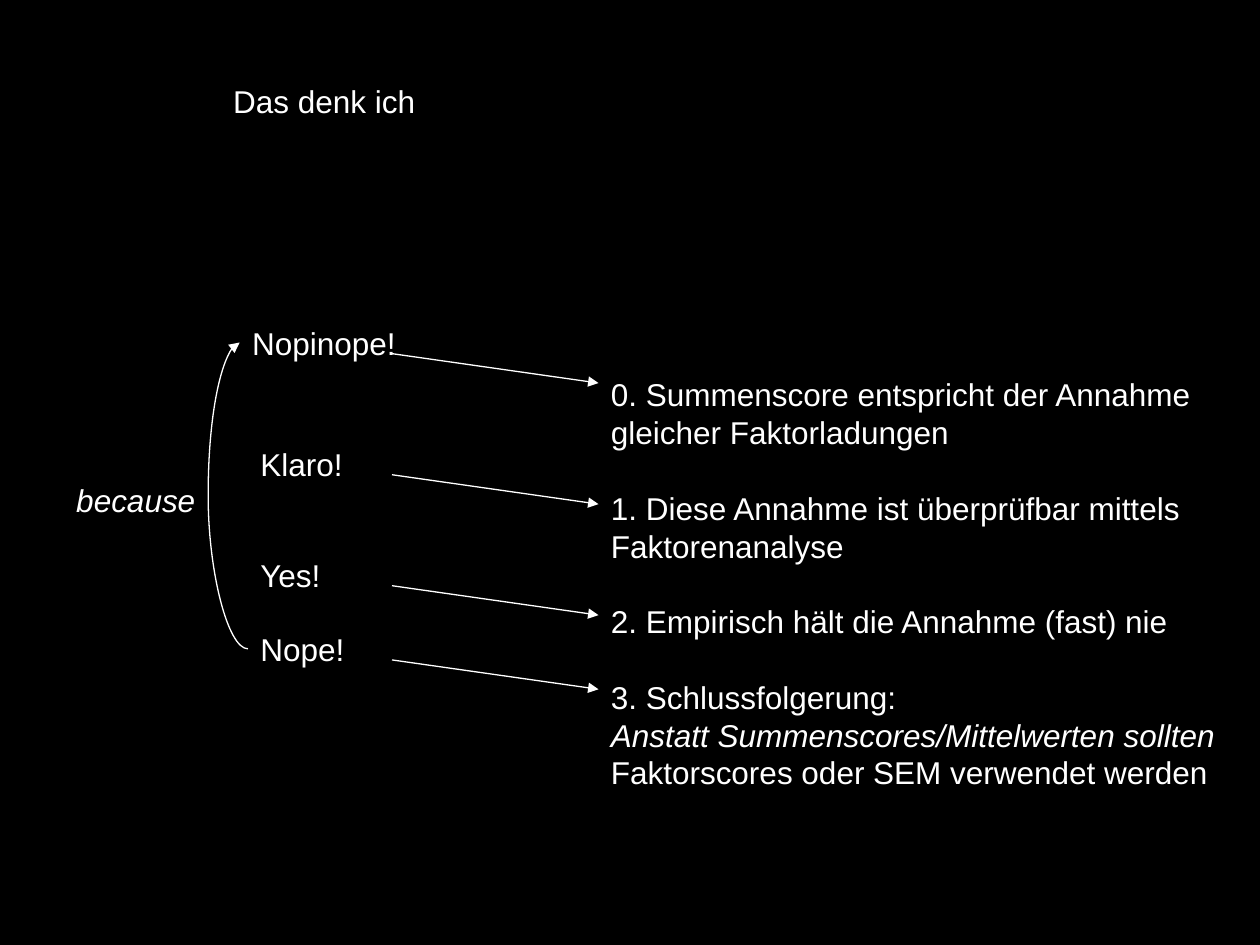
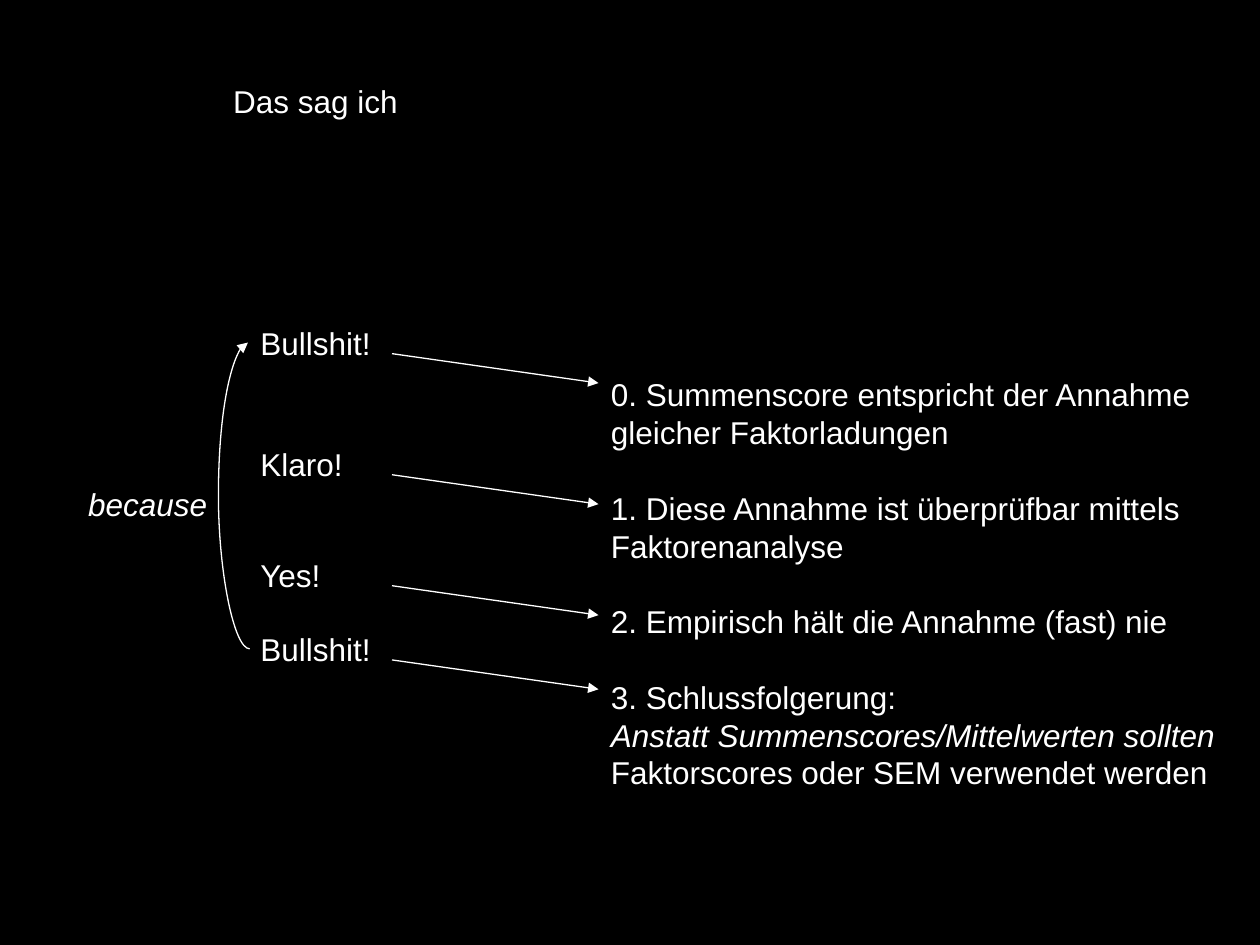
from lxml import etree
from pptx import Presentation
from pptx.dml.color import RGBColor
from pptx.enum.shapes import MSO_CONNECTOR
from pptx.enum.text import MSO_ANCHOR, PP_ALIGN
from pptx.oxml.ns import qn
from pptx.util import Pt

SLIDES = [
    {
        "title": "Das denk ich",
        "answers": ["Nopinope!", "Klaro!", "Yes!", "Nope!"],
        "first_answer_left": 137,
        "because": (36.5, 271.2),
        "curve": {"start": 141.7, "end": 137, "bend": 119},
    },
    {
        "title": "Das sag ich",
        "answers": ["Bullshit!", "Klaro!", "Yes!", "Bullshit!"],
        "first_answer_left": 141.7,
        "because": (43.3, 273.6),
        "curve": {"start": 142.7, "end": 141.7, "bend": 124.7},
    },
]
# Text, italic, starts a new claim
CLAIMS = [
    ("0. Summenscore entspricht der Annahme gleicher Faktorladungen", False, False),
    ("1. Diese Annahme ist überprüfbar mittels Faktorenanalyse", False, True),
    ("2. Empirisch hält die Annahme (fast) nie", False, True),
    ("3. Schlussfolgerung:", False, True),
    ("Anstatt Summenscores/Mittelwerten sollten", True, False),
    ("Faktorscores oder SEM verwendet werden", False, False),
]

BLACK = RGBColor(0, 0, 0)
WHITE = RGBColor(255, 255, 255)
FONT = "Arial"
FONT_SIZE = 18
CLAIM_GAP = 21.6
ANSWER_LEFT = 141.7
ANSWER_TOPS = [181.4, 250.6, 314, 356.4]
ANSWER_SIZE = (108, 28.8)
CLAIMS_BOX = (342, 211, 384, 247)
TITLE_BOX = (126, 43.2, 124, 28.8)
ARROW_LEFT, ARROW_RIGHT = 224, 342
ARROW_DROP = 20.7  # from the top of an answer to the start of its arrow
ARROW_FALL = 16.8
CURVE_TOP, CURVE_BOTTOM = 195.8, 370.8


def format_paragraph(paragraph, italic=False):
    paragraph.alignment = PP_ALIGN.LEFT
    font = paragraph.font
    font.name, font.size, font.italic = FONT, Pt(FONT_SIZE), italic
    font.color.rgb = WHITE


def add_text(slide, box, lines):
    """Write lines of (text, italic, gap before) into one text box."""
    frame = slide.shapes.add_textbox(*map(Pt, box)).text_frame
    frame.word_wrap = True
    for index, (text, italic, gap) in enumerate(lines):
        paragraph = frame.add_paragraph() if index else frame.paragraphs[0]
        paragraph.text = text
        format_paragraph(paragraph, italic)
        if gap:
            paragraph.space_before = Pt(CLAIM_GAP)


def add_title(slide, text):
    title = slide.shapes.title
    title.left, title.top, title.width, title.height = map(Pt, TITLE_BOX)
    title.text = text
    title.text_frame.vertical_anchor = MSO_ANCHOR.TOP
    format_paragraph(title.text_frame.paragraphs[0])


def add_arrow(slide, start, end, kind=MSO_CONNECTOR.STRAIGHT):
    arrow = slide.shapes.add_connector(kind, *map(Pt, start + end))
    arrow.line.color.rgb = WHITE
    arrow.line.width = Pt(0.75)
    etree.SubElement(arrow.line._get_or_add_ln(), qn("a:tailEnd"), type="triangle")
    etree.SubElement(arrow._element.spPr, qn("a:effectLst"))
    return arrow


def add_because_curve(slide, start, end, bend):
    """Lead from the last answer up to the first, bulging left to bend."""
    curve = add_arrow(slide, (start, CURVE_BOTTOM), (end, CURVE_TOP), MSO_CONNECTOR.CURVE)
    bulge = round((start - bend) / (start - end) * 100000)
    adjustments = curve._element.spPr.find(qn("a:prstGeom")).get_or_add_avLst()
    etree.SubElement(adjustments, qn("a:gd"), name="adj1", fmla=f"val {bulge}")


def build_slide(presentation, content):
    slide = presentation.slides.add_slide(presentation.slide_layouts[5])
    slide.background.fill.solid()
    slide.background.fill.fore_color.rgb = BLACK
    add_title(slide, content["title"])
    add_text(slide, CLAIMS_BOX, CLAIMS)
    for index, (answer, top) in enumerate(zip(content["answers"], ANSWER_TOPS)):
        left = ANSWER_LEFT if index else content["first_answer_left"]
        arrow_top = top + ARROW_DROP
        add_arrow(slide, (ARROW_LEFT, arrow_top), (ARROW_RIGHT, arrow_top + ARROW_FALL))
        add_text(slide, (left, top) + ANSWER_SIZE, [(answer, False, False)])
    add_because_curve(slide, **content["curve"])
    add_text(slide, content["because"] + ANSWER_SIZE, [("because", True, False)])


def main():
    presentation = Presentation()
    presentation.slide_width, presentation.slide_height = Pt(720), Pt(540)
    for content in SLIDES:
        build_slide(presentation, content)
    presentation.save("out.pptx")


if __name__ == "__main__":
    main()
